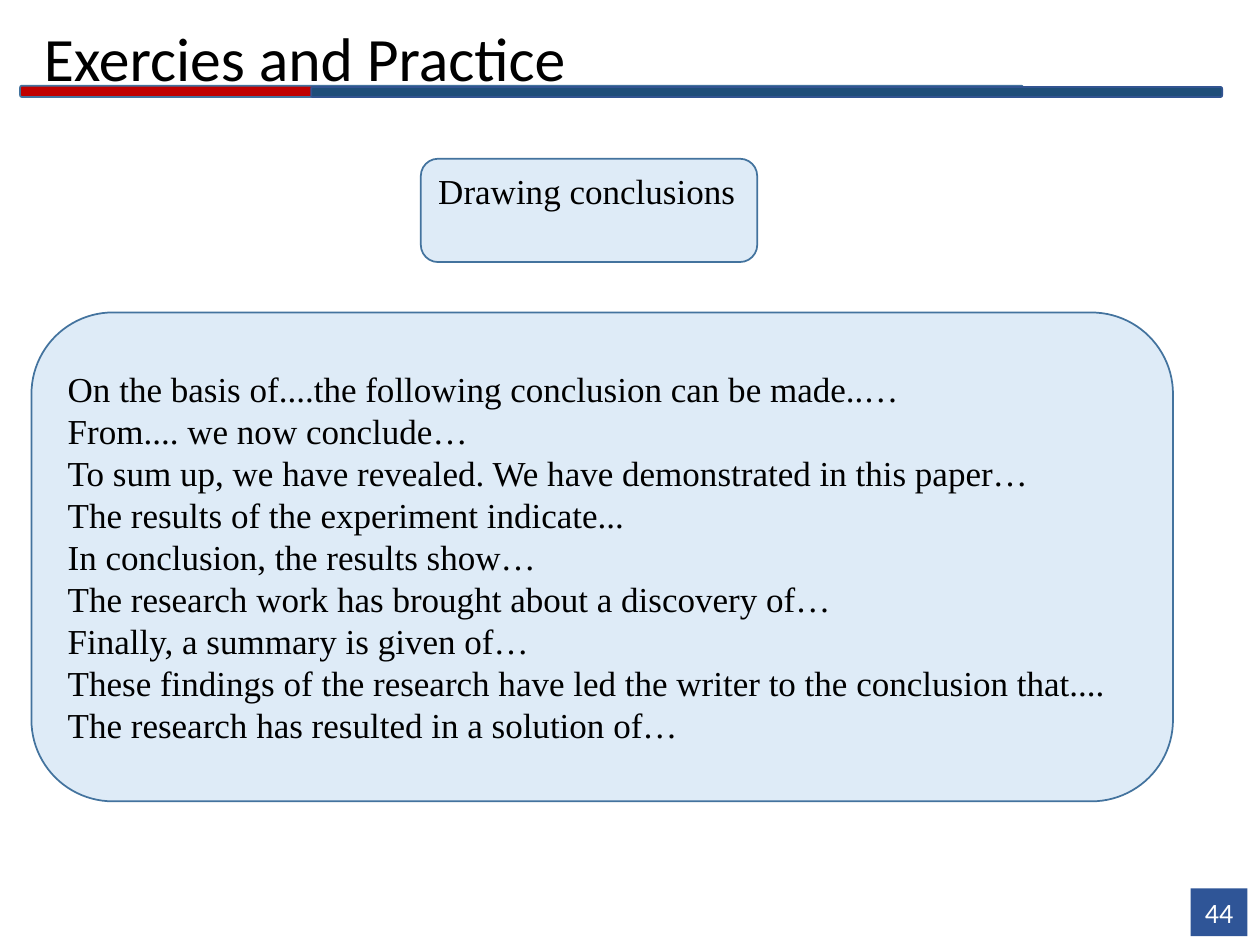
from typing import NamedTuple, Optional

import pptx
import pptx.dml.color
import pptx.enum.shapes
import pptx.enum.text
import pptx.util

Inches = pptx.util.Inches
Align = pptx.enum.text.PP_ALIGN
Preset = pptx.enum.shapes.MSO_SHAPE

SERIF = "Times New Roman"
SANS = "Calibri"
PALE_BLUE = "DEEBF7"
OUTLINE_BLUE = "43739E"

PHRASES = [
    "On the basis of....the following conclusion can be made..…",
    "From.... we now conclude…",
    "To sum up, we have revealed. We have demonstrated in this paper…",
    "The results of the experiment indicate...",
    "In conclusion, the results show…",
    "The research work has brought about a discovery of…",
    "Finally, a summary is given of…",
    "These findings of the research have led the writer to the conclusion that....",
    "The research has resulted in a solution of…",
]


class Panel(NamedTuple):
    left: float
    top: float
    width: float
    height: float
    fill: str
    outline: Optional[str] = OUTLINE_BLUE
    preset: Preset = Preset.ROUNDED_RECTANGLE


def color(hex_code: str) -> pptx.dml.color.RGBColor:
    return pptx.dml.color.RGBColor.from_string(hex_code)


def draw_panel(slide, panel: Panel):
    shape = slide.shapes.add_shape(panel.preset, *map(Inches, panel[:4]))
    shape.shadow.inherit = False
    shape.fill.solid()
    shape.fill.fore_color.rgb = color(panel.fill)
    if panel.outline:
        shape.line.color.rgb = color(panel.outline)
        shape.line.width = pptx.util.Pt(1)
    else:
        shape.line.fill.background()
    return shape


def write(shape, lines: list[str], *, font: str, size: float, ink: str = "000000",
          align: Align = Align.LEFT, spacing: float = 1.0,
          bottom: float = 0.05) -> None:
    frame = shape.text_frame
    frame.word_wrap = True
    frame.vertical_anchor = pptx.enum.text.MSO_ANCHOR.MIDDLE
    frame.margin_bottom = Inches(bottom)
    frame.text = "\n".join(lines)
    for paragraph in frame.paragraphs:
        paragraph.alignment = align
        paragraph.line_spacing = spacing
        paragraph.font.name = font
        paragraph.font.size = pptx.util.Pt(size)
        paragraph.font.color.rgb = color(ink)


def main() -> None:
    deck = pptx.Presentation()
    deck.slide_width, deck.slide_height = Inches(10), Inches(7.5)
    slide = deck.slides.add_slide(deck.slide_layouts[6])

    # Title and page number
    title = slide.shapes.add_textbox(
        Inches(0.25), Inches(0.13), Inches(9.06), Inches(0.72))
    write(title, ["Exercies and Practice"], font=SANS, size=35.2, spacing=0.9)
    page_number = draw_panel(
        slide, Panel(9.45, 7.05, 0.45, 0.38, "2F5597", None, Preset.RECTANGLE))
    write(page_number, ["44"], font=SANS, size=16, ink="FFFFFF", align=Align.CENTER)

    # Two-colour rule under the title
    for rule in (Panel(0.16, 0.68, 7.96, 0.09, "C00000"),
                 Panel(2.47, 0.69, 7.23, 0.08, "1F4E79", "325491")):
        draw_panel(slide, rule)

    # Useful phrases
    phrases = draw_panel(slide, Panel(0.25, 2.48, 9.06, 3.88, PALE_BLUE))
    write(phrases, PHRASES, font=SERIF, size=20, align=Align.JUSTIFY)

    # Topic, raised by one line of space below it
    topic = draw_panel(slide, Panel(3.34, 1.26, 2.67, 0.82, PALE_BLUE))
    write(topic, ["Drawing conclusions"], font=SERIF, size=20,
          align=Align.JUSTIFY, bottom=0.37)

    deck.save("out.pptx")


if __name__ == "__main__":
    main()
